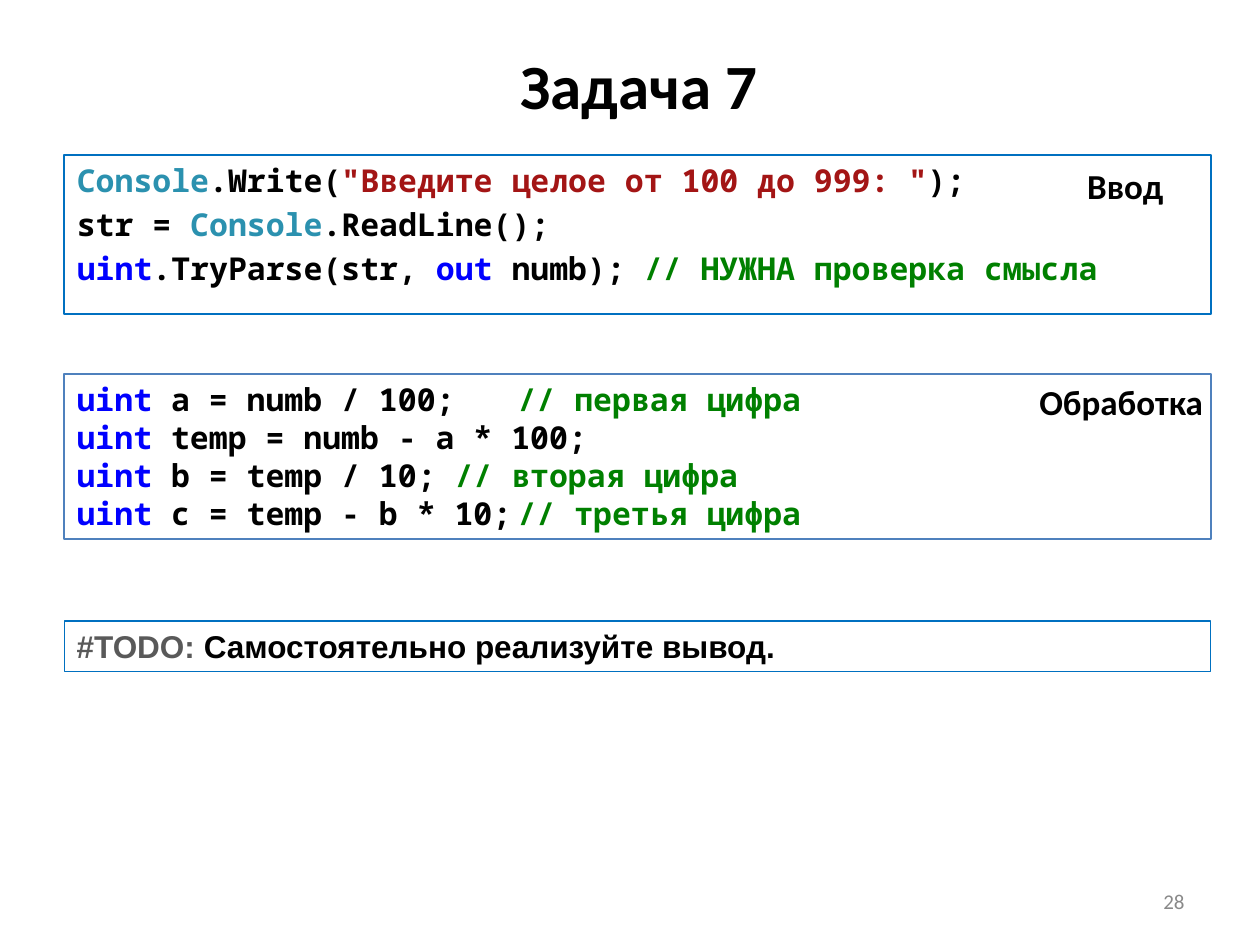
from lxml import etree
from pptx import Presentation
from pptx.dml.color import RGBColor
from pptx.enum.shapes import MSO_SHAPE
from pptx.enum.text import MSO_ANCHOR, MSO_AUTO_SIZE, PP_ALIGN
from pptx.oxml.ns import qn
from pptx.util import Inches, Pt

RECTANGLE = MSO_SHAPE.RECTANGLE
TOP, MIDDLE = MSO_ANCHOR.TOP, MSO_ANCHOR.MIDDLE
LEFT, CENTER = PP_ALIGN.LEFT, PP_ALIGN.CENTER
RIGHT, JUSTIFY = PP_ALIGN.RIGHT, PP_ALIGN.JUSTIFY
NO_AUTOFIT = MSO_AUTO_SIZE.NONE

COLORS = {
    "plain": "000000",
    "type": "2B91AF",
    "string": "A31515",
    "keyword": "0000FF",
    "comment": "008000",
    "todo": "595959",
    "number": "898989",
    "border": "0070C0",
    "accent": "4F81BD",
}
CODE_FONT = "Noto Sans Mono"
PANEL_LEFT, PANEL_WIDTH = 0.51, 9.1

INPUT_CODE = [
    [("Console", "type"), (".Write(", "plain"),
     ('"Введите целое от 100 до 999: "', "string"), (");", "plain")],
    [("str = ", "plain"), ("Console", "type"), (".ReadLine();", "plain")],
    [("uint", "keyword"), (".TryParse(str, ", "plain"), ("out", "keyword"),
     (" numb);\t", "plain"), ("// НУЖНА проверка смысла", "comment")],
]
PROCESSING_CODE = [
    [("uint", "keyword"), (" a = numb / 100;\t", "plain"), ("// первая цифра", "comment")],
    [("uint", "keyword"), (" temp = numb - a * 100;", "plain")],
    [("uint", "keyword"), (" b = temp / 10;\t", "plain"), ("// вторая цифра", "comment")],
    [("uint", "keyword"), (" c = temp - b * 10;\t", "plain"), ("// третья цифра", "comment")],
]
TODO_LINE = [[("#TODO: ", "todo"), ("Самостоятельно реализуйте вывод.", "plain")]]


def color(name):
    return RGBColor.from_string(COLORS[name])


def place(shape, left, top, width, height):
    shape.left, shape.top = Inches(left), Inches(top)
    shape.width, shape.height = Inches(width), Inches(height)


def set_border(shape, color_name, width):
    shape.fill.background()
    shape.line.color.rgb = color(color_name)
    shape.line.width = Pt(width)


def format_paragraph(paragraph, font_name, size, bold=True, alignment=LEFT, tab=None):
    properties = paragraph._p.get_or_add_pPr()
    properties.set("marL", "0")
    properties.set("indent", "0")
    etree.SubElement(properties, qn("a:buNone"))
    if tab:
        tab_list = etree.SubElement(properties, qn("a:tabLst"))
        etree.SubElement(tab_list, qn("a:tab"), pos=str(Inches(tab)), algn="l")
    paragraph.alignment = alignment
    paragraph.font.name = font_name
    paragraph.font.size = Pt(size)
    paragraph.font.bold = bold


def write_lines(shape, lines, font_name, alignment=LEFT, tabs=None, gap=0):
    frame = shape.text_frame
    frame.word_wrap = True
    frame.auto_size = NO_AUTOFIT
    frame.vertical_anchor = TOP
    for index, line in enumerate(lines):
        paragraph = frame.add_paragraph() if index else frame.paragraphs[0]
        format_paragraph(paragraph, font_name, 18, alignment=alignment,
                         tab=tabs[index] if tabs else None)
        paragraph.space_before = Pt(gap if index else 0)
        for text, color_name in line:
            run = paragraph.add_run()
            run.text = text
            run.font.color.rgb = color(color_name)


def write_text(shape, text, size, color_name="plain", bold=True, alignment=LEFT):
    paragraph = shape.text_frame.paragraphs[0]
    format_paragraph(paragraph, "Calibri", size, bold, alignment)
    run = paragraph.add_run()
    run.text = text
    run.font.color.rgb = color(color_name)


def add_label(slide, text, left, top, width):
    label = slide.shapes.add_textbox(Inches(left), Inches(top), Inches(width), Inches(0.43))
    label.text_frame.word_wrap = False
    write_text(label, text, 20)


def add_panel(slide, top, height, border, border_width):
    panel = slide.shapes.add_shape(RECTANGLE, Inches(PANEL_LEFT), Inches(top),
                                   Inches(PANEL_WIDTH), Inches(height))
    panel.shadow.inherit = False
    set_border(panel, border, border_width)
    return panel


def add_slide_number(slide, number):
    box = slide.shapes.add_textbox(Inches(7.17), Inches(6.95), Inches(2.33), Inches(0.4))
    box.text_frame.word_wrap = True
    box.text_frame.vertical_anchor = MIDDLE
    write_text(box, number, 12, "number", False, RIGHT)


def main():
    """Build the task slide with its input, processing and to-do panels."""
    presentation = Presentation()
    presentation.slide_width, presentation.slide_height = Inches(10), Inches(7.5)
    slide = presentation.slides.add_slide(presentation.slide_layouts[1])

    title, body = slide.placeholders
    place(title, 0.57, 0.28, 9, 0.78)
    title.text_frame.auto_size = NO_AUTOFIT
    title.text_frame.vertical_anchor = MIDDLE
    write_text(title, "Задача 7", 36, alignment=CENTER)

    place(body, PANEL_LEFT, 1.23, PANEL_WIDTH, 1.26)
    set_border(body, "border", 1.25)
    write_lines(body, INPUT_CODE, CODE_FONT, tabs=[None, None, 5.1], gap=3.6)

    add_slide_number(slide, "28")
    add_label(slide, "Ввод", 8.53, 1.26, 0.92)
    add_label(slide, "Обработка", 8.15, 2.97, 1.68)

    processing = add_panel(slide, 2.97, 1.31, "accent", 1)
    write_lines(processing, PROCESSING_CODE, CODE_FONT, tabs=[4.8, None, 4.8, 4.65])
    todo = add_panel(slide, 4.93, 0.4, "border", 0.75)
    write_lines(todo, TODO_LINE, "Arial", JUSTIFY)

    presentation.save("out.pptx")


if __name__ == "__main__":
    main()
